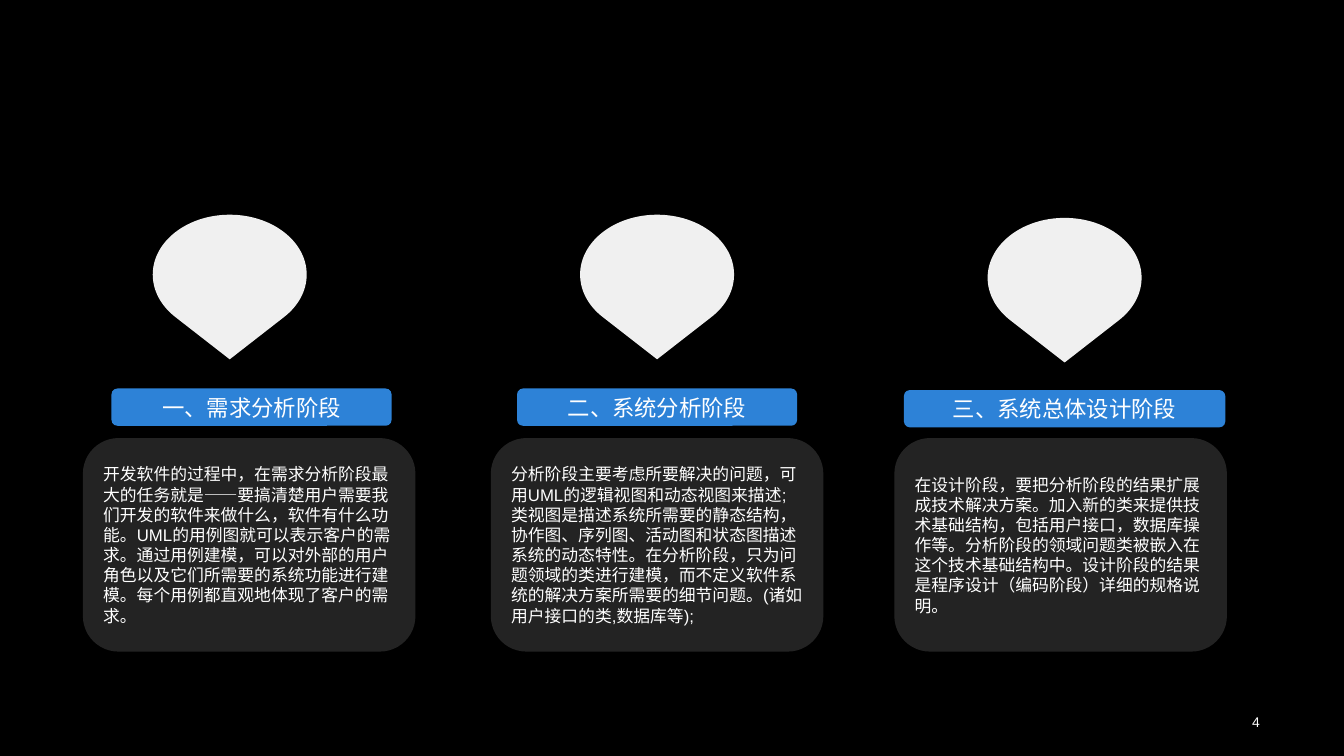
from math import cos, sin, tan, radians, sqrt
from lxml.etree import SubElement
from pptx import Presentation
from pptx.dml.color import RGBColor
from pptx.enum.shapes import MSO_SHAPE
from pptx.enum.text import MSO_ANCHOR, PP_ALIGN
from pptx.oxml.ns import qn
from pptx.util import Cm, Pt

STAGES = [
    {"title": "一、需求分析阶段", "pin": (5.79, 5.41), "pill": (2.81, 9.79, 7.06), "card": 2.09,
     "body": "开发软件的过程中，在需求分析阶段最大的任务就是——要搞清楚用户需要我们开发的软件来做什么，"
             "软件有什么功能。UML的用例图就可以表示客户的需求。通过用例建模，可以对外部的用户角色以及"
             "它们所需要的系统功能进行建模。每个用例都直观地体现了客户的需求。"},
    {"title": "二、系统分析阶段", "pin": (16.56, 5.41), "pill": (13.03, 9.79, 7.06), "card": 12.37,
     "body": "分析阶段主要考虑所要解决的问题，可用UML的逻辑视图和动态视图来描述;类视图是描述系统所需要的"
             "静态结构，协作图、序列图、活动图和状态图描述系统的动态特性。在分析阶段，只为问题领域的类"
             "进行建模，而不定义软件系统的解决方案所需要的细节问题。(诸如用户接口的类,数据库等);"},
    {"title": "三、系统总体设计阶段", "pin": (26.83, 5.49), "pill": (22.78, 9.83, 8.1), "card": 22.54,
     "body": "在设计阶段，要把分析阶段的结果扩展成技术解决方案。加入新的类来提供技术基础结构，包括用户接口，"
             "数据库操作等。分析阶段的领域问题类被嵌入在这个技术基础结构中。设计阶段的结果是程序设计"
             "（编码阶段）详细的规格说明。"},
]
PAGE = "4"
COLORS = {"bg": "000000", "pill": "2D82D7", "light": "F0F0F0", "text": "FFFFFF"}
FONT = "Arial"
PILL_H = 0.94
CARD_TOP, CARD_W, CARD_H = 11.04, 8.38, 5.38
PIN_RX, PIN_RY = 1.94, 1.51
PIN_ANGLES = [135, 180, 270, 360, 405]


def rgb(name):
    return RGBColor.from_string(COLORS[name])


def paint(sp, color, alpha=None):
    sp.shadow.inherit = False
    sp.fill.solid()
    sp.fill.fore_color.rgb = rgb(color)
    sp.line.fill.background()
    if alpha:
        clr = sp.fill._xPr.find(qn("a:solidFill"))[0]
        SubElement(clr, qn("a:alpha"), val=str(alpha * 1000))


def write(sp, text, size, align):
    tf = sp.text_frame
    for key, value in {"word_wrap": True, "vertical_anchor": MSO_ANCHOR.MIDDLE}.items():
        setattr(tf, key, value)
    p = tf.paragraphs[0]
    p.alignment = align
    r = p.add_run()
    r.text = text
    for key, value in {"name": FONT, "size": Pt(size)}.items():
        setattr(r.font, key, value)
    r.font.color.rgb = rgb("text")


def add_box(s, left, top, width, height, color, alpha=None, corner=None):
    sp = s.shapes.add_shape(MSO_SHAPE.ROUNDED_RECTANGLE, Cm(left), Cm(top), Cm(width), Cm(height))
    if corner:
        sp.adjustments[0] = corner
    paint(sp, color, alpha)
    return sp


def arc_points(start, end):
    a, b = radians(start), radians(end)
    k = 4 / 3 * tan((b - a) / 4)
    return [(cos(a) - k * sin(a), sin(a) + k * cos(a)),
            (cos(b) + k * sin(b), sin(b) - k * cos(b)),
            (cos(b), sin(b))]


def add_pin(s, cx, top):
    cy = top + PIN_RY
    first = radians(PIN_ANGLES[0])
    points = [(cos(first), sin(first))]
    for start, end in zip(PIN_ANGLES, PIN_ANGLES[1:]):
        points += arc_points(start, end)
    fb = s.shapes.build_freeform(Cm(cx), Cm(cy + PIN_RY * sqrt(2)))
    fb.add_line_segments([(Cm(cx + PIN_RX * x), Cm(cy + PIN_RY * y)) for x, y in points], close=True)
    sp = fb.convert_to_shape()
    lines = list(sp._element.iter(qn("a:lnTo")))[1:]
    for i in range(0, len(lines), 3):
        curve = lines[i].makeelement(qn("a:cubicBezTo"))
        lines[i].addprevious(curve)
        for line in lines[i:i + 3]:
            curve.append(line[0])
            line.getparent().remove(line)
    paint(sp, "light")


def main():
    prs = Presentation()
    prs.slide_width, prs.slide_height = Cm(33.87), Cm(19.05)
    s = prs.slides.add_slide(prs.slide_layouts[6])
    s.background.fill.solid()
    s.background.fill.fore_color.rgb = rgb("bg")

    number = s.shapes.add_textbox(Cm(24.61), Cm(17.84), Cm(7.39), Cm(0.69))
    write(number, PAGE, 10, PP_ALIGN.RIGHT)

    for stage in STAGES:
        left, top, width = stage["pill"]
        pill = add_box(s, left, top, width, PILL_H, "pill", corner=0.16)
        write(pill, stage["title"], 16, PP_ALIGN.CENTER)
        add_pin(s, *stage["pin"])
        card = add_box(s, stage["card"], CARD_TOP, CARD_W, CARD_H, "light", alpha=15)
        write(card, stage["body"], 12, PP_ALIGN.LEFT)

    prs.save("out.pptx")


if __name__ == "__main__":
    main()
